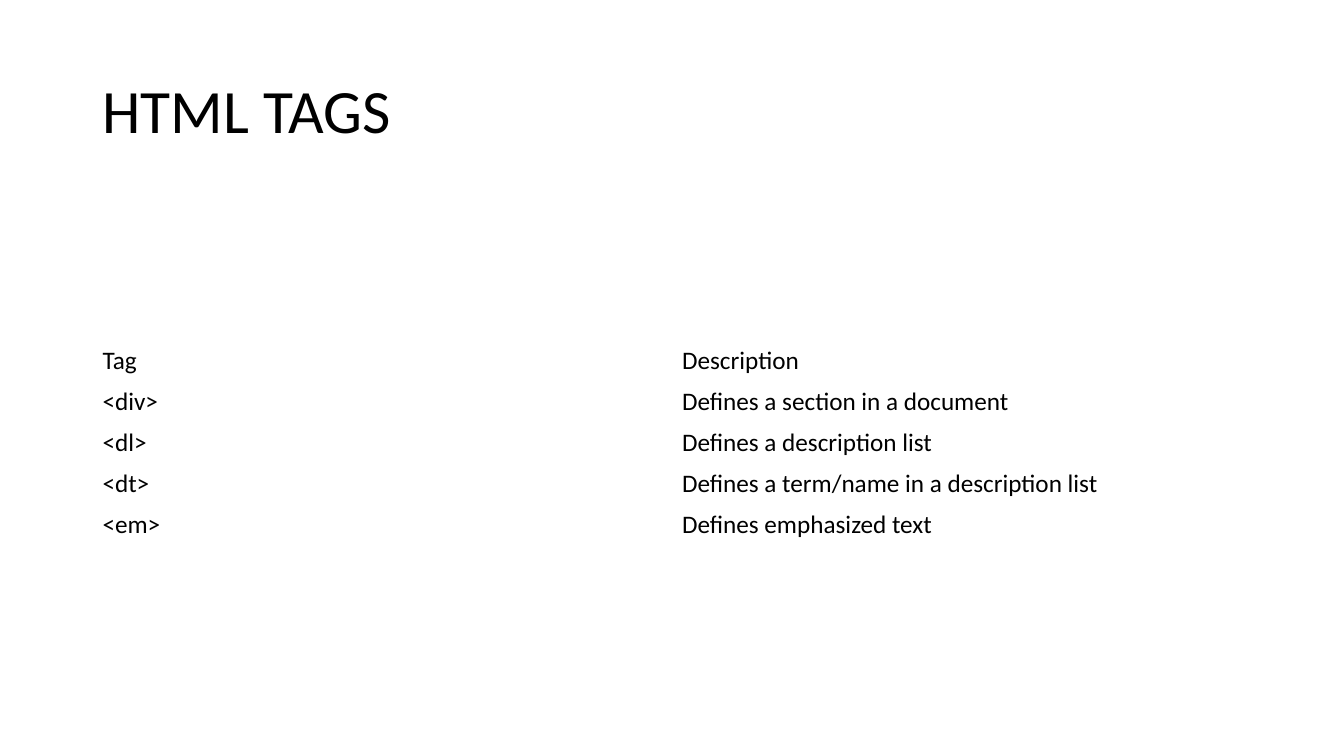
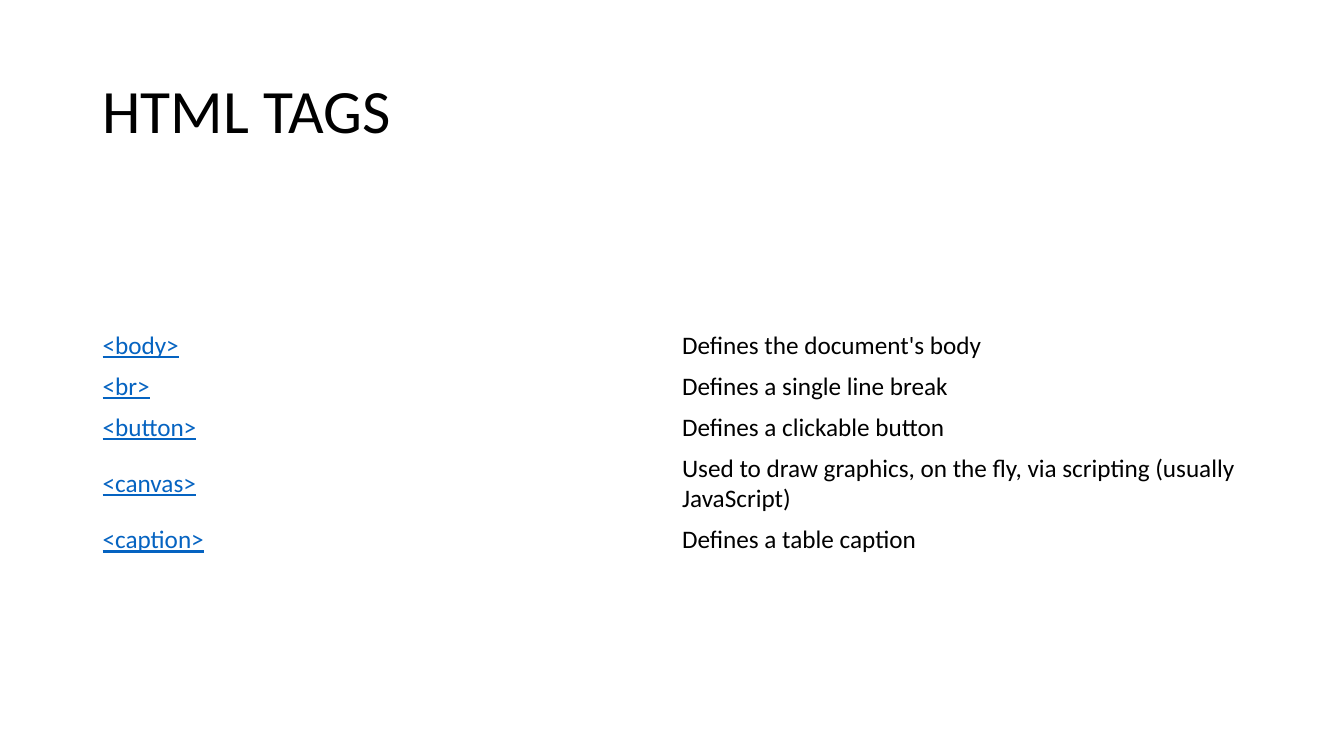
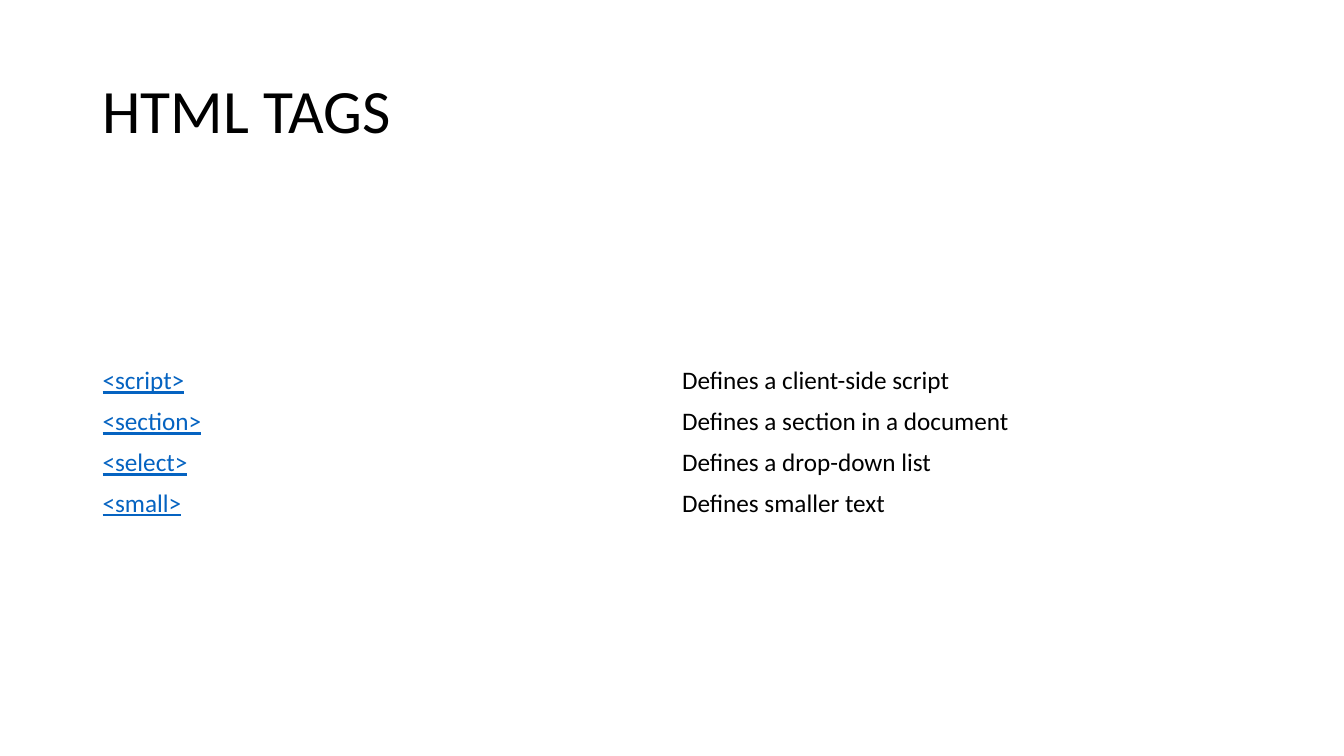
from dataclasses import dataclass

from pptx import Presentation
from pptx.dml.color import RGBColor
from pptx.enum.text import MSO_ANCHOR as Anchor, MSO_AUTO_SIZE as AutoSize, PP_ALIGN as Align
from pptx.oxml.ns import qn
from pptx.presentation import Presentation as Deck
from pptx.slide import Slide
from pptx.text.text import TextFrame
from pptx.util import Cm, Pt

COLORS = {"text": "000000", "link": "0563C1"}
FONT = "Calibri"
TITLE = "HTML TAGS"
TITLE_ONLY = 5
PLAIN_TABLE_STYLE = "{2D5ABB26-0587-4C30-8999-92F81FD0307C}"

LEFT, WIDTH = Cm(2.33), Cm(29.21)
TABLE_MIDDLE = Cm(11.13)
LINE_HEIGHT, CELL_PADDING = Cm(0.76), Cm(0.26)


@dataclass(frozen=True)
class Tag:
    name: str
    description: str
    lines: int = 1


@dataclass(frozen=True)
class TagPage:
    tags: tuple[Tag, ...]
    linked: bool = True


PAGES = (
    TagPage((
        Tag("Tag", "Description"),
        Tag("<div>", "Defines a section in a document"),
        Tag("<dl>", "Defines a description list"),
        Tag("<dt>", "Defines a term/name in a description list"),
        Tag("<em>", "Defines emphasized text"),
    ), linked=False),
    TagPage((
        Tag("<body>", "Defines the document's body"),
        Tag("<br>", "Defines a single line break"),
        Tag("<button>", "Defines a clickable button"),
        Tag("<canvas>",
            "Used to draw graphics, on the fly, via scripting (usually JavaScript)",
            lines=2),
        Tag("<caption>", "Defines a table caption"),
    )),
    TagPage((
        Tag("<script>", "Defines a client-side script"),
        Tag("<section>", "Defines a section in a document"),
        Tag("<select>", "Defines a drop-down list"),
        Tag("<small>", "Defines smaller text"),
    )),
)


def write_text(frame: TextFrame, text: str, *, size: float = 18, color: str = "text",
               underline: bool = False, spacing: float = 1.0) -> None:
    para = frame.paragraphs[0]
    para.alignment = Align.LEFT
    para.line_spacing = spacing
    span = para.add_run()
    span.text = text
    span.font.name = FONT
    span.font.size = Pt(size)
    span.font.underline = underline
    span.font.color.rgb = RGBColor.from_string(COLORS[color])


def add_title(page: Slide) -> None:
    title = page.shapes.title
    title.left, title.top, title.width, title.height = LEFT, Cm(1.01), WIDTH, Cm(3.68)
    frame = title.text_frame
    frame.auto_size = AutoSize.NONE
    frame.vertical_anchor = Anchor.MIDDLE
    write_text(frame, TITLE, size=44, spacing=0.9)


def add_tag_table(page: Slide, content: TagPage) -> None:
    """Add a two-column table centred on TABLE_MIDDLE."""
    heights = [tag.lines * LINE_HEIGHT + CELL_PADDING for tag in content.tags]
    total = sum(heights)
    table = page.shapes.add_table(
        len(heights), 2, LEFT, TABLE_MIDDLE - total // 2, WIDTH, total).table
    table.first_row = table.horz_banding = False
    table._tbl.tblPr.find(qn("a:tableStyleId")).text = PLAIN_TABLE_STYLE

    for row, tag, height in zip(table.rows, content.tags, heights):
        row.height = height
        for cell in row.cells:
            cell.fill.background()
            cell.vertical_anchor = Anchor.MIDDLE
        name_cell, description_cell = row.cells
        write_text(name_cell.text_frame, tag.name, underline=content.linked,
                   color="link" if content.linked else "text")
        write_text(description_cell.text_frame, tag.description)


def add_page(deck: Deck, content: TagPage) -> None:
    page = deck.slides.add_slide(deck.slide_layouts[TITLE_ONLY])
    add_title(page)
    add_tag_table(page, content)


def main() -> None:
    deck = Presentation()
    deck.slide_width, deck.slide_height = Cm(33.87), Cm(19.05)
    for content in PAGES:
        add_page(deck, content)
    deck.save("out.pptx")


if __name__ == "__main__":
    main()
